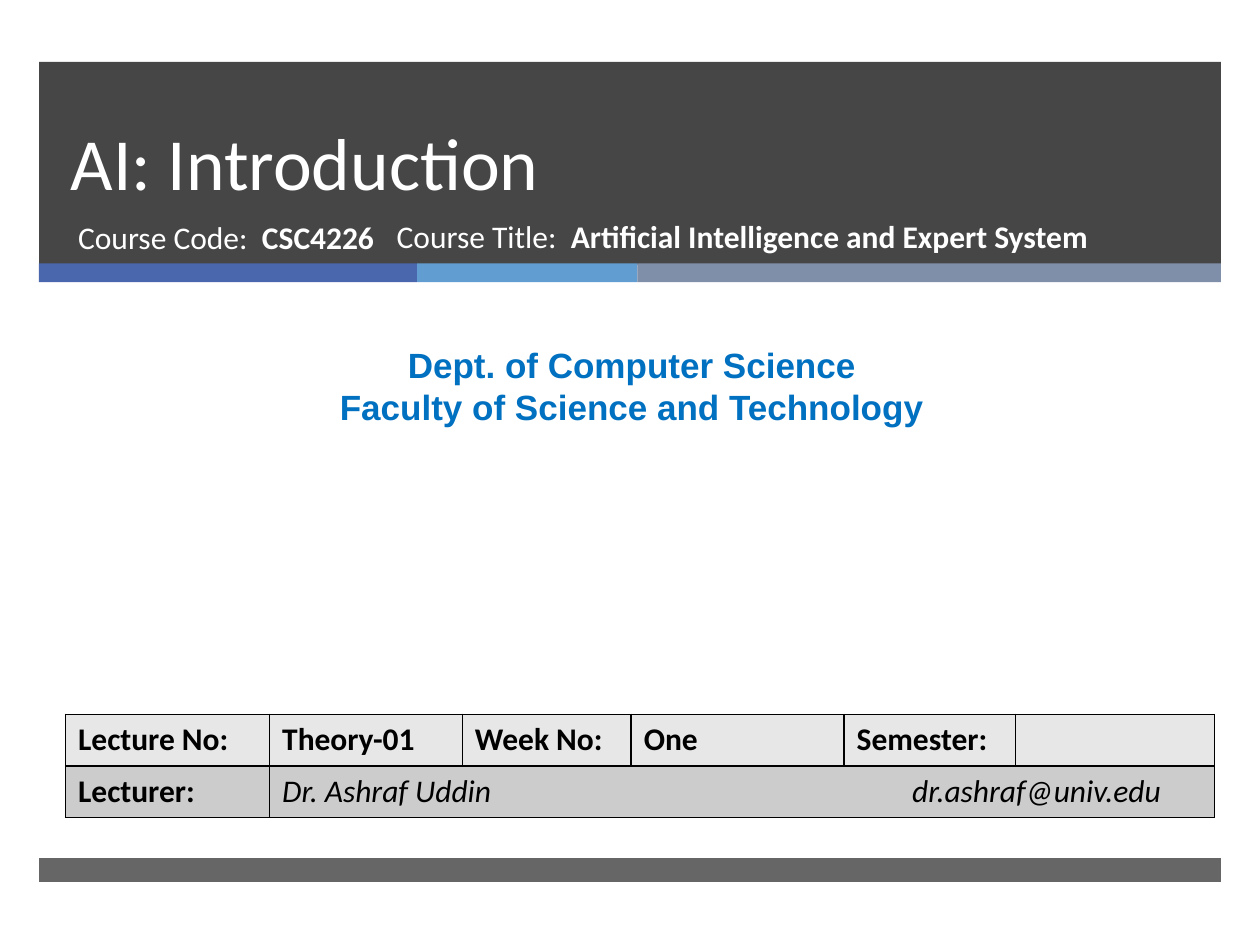
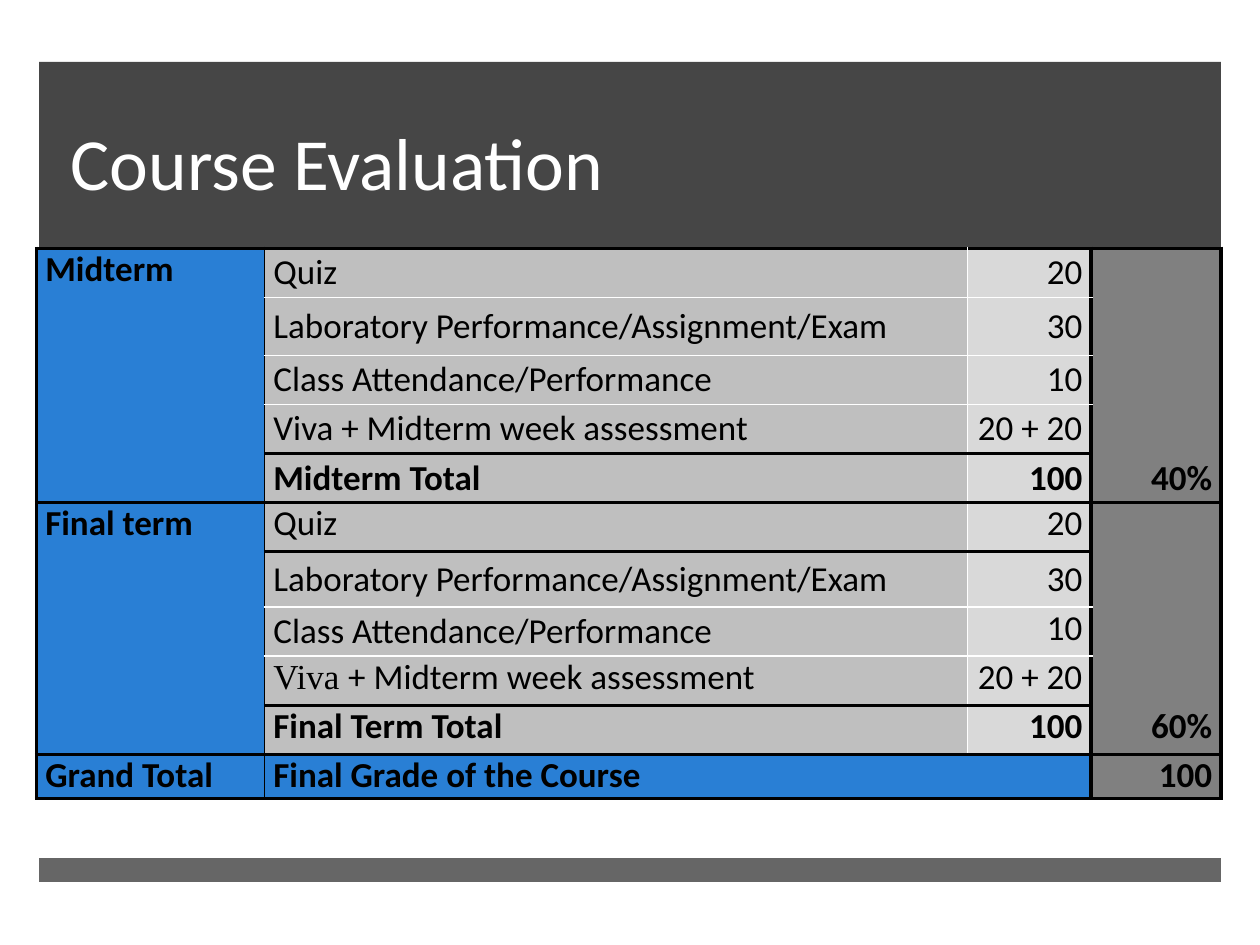
from lxml.etree import SubElement
from pptx import Presentation
from pptx.dml.color import RGBColor
from pptx.enum.shapes import MSO_SHAPE as Shape
from pptx.enum.text import MSO_ANCHOR as Anchor, MSO_AUTO_SIZE as AutoSize, PP_ALIGN as Align
from pptx.oxml import parse_xml
from pptx.oxml.ns import nsdecls, qn
from pptx.util import Inches, Pt

BLACK, WHITE, CHARCOAL = "000000", "FFFFFF", "262626"
HEADING_BLUE, TERM_BLUE = "0070C0", "297FD5"
LABEL_GREY, SCORE_GREY, WEIGHT_GREY = "BFBFBF", "D9D9D9", "808080"
INFO_GREYS = ("E7E7E7", "CCCCCC")

EDGE, BAND_WIDTH = 0.31, 9.38
STRIPES = (("4A66AC", 3), ("629DD1", 1.75), ("7F8FA9", 4.63))
NO_LINE, THIN, THICK = (BLACK, 0), (BLACK, 1), (BLACK, 2.25)
WHITE_LINE = (WHITE, 1)

COMPONENTS = (
    ("Quiz", "20"),
    ("Laboratory Performance/Assignment/Exam", "30"),
    ("Class Attendance/Performance", "10"),
    ("Viva + Midterm week assessment", "20 + 20"),
)
TERMS = (("Midterm", "Midterm Total", "40%"), ("Final term", "Final Term Total", "60%"))


def rgb(color):
    return RGBColor.from_string(color)


def inches(*lengths):
    return [Inches(length) for length in lengths]


def write(paragraph, text, size, color, font="Calibri", bold=False, italic=False):
    """Append one formatted run to the paragraph."""
    run = paragraph.add_run()
    run.text = text
    run.font.name, run.font.size = font, Pt(size)
    run.font.bold, run.font.italic = bold, italic
    run.font.color.rgb = rgb(color)


def place(placeholder, left, top, width, height, anchor):
    placeholder.left, placeholder.top, placeholder.width, placeholder.height = inches(
        left, top, width, height)
    frame = placeholder.text_frame
    frame.auto_size, frame.vertical_anchor = AutoSize.NONE, anchor
    paragraph = frame.paragraphs[0]
    paragraph.alignment, paragraph.space_before = Align.LEFT, Pt(0)
    return paragraph


def add_title(slide, text):
    paragraph = place(slide.shapes.title, 0.46, 0.49, 8.54, 1.19, Anchor.BOTTOM)
    paragraph.line_spacing = Pt(46)
    write(paragraph, text, 42, WHITE)


def add_text_box(slide, left, top, width, height):
    frame = slide.shapes.add_textbox(*inches(left, top, width, height)).text_frame
    frame.word_wrap = True
    return frame


def write_course_fact(paragraph, label, value):
    write(paragraph, label, 18, WHITE)
    write(paragraph, value, 18, WHITE, bold=True)


def add_band(slide, left, top, width, height, color, opacity=100):
    band = slide.shapes.add_shape(Shape.RECTANGLE, *inches(left, top, width, height))
    band.shadow.inherit = False
    band.line.fill.background()
    band.fill.solid()
    band.fill.fore_color.rgb = rgb(color)
    if opacity < 100:
        tint = band.element.spPr.find(qn("a:solidFill"))[0]
        SubElement(tint, qn("a:alpha")).set("val", str(opacity * 1000))
    return band


def add_master_bands(master, slide):
    """Draw the shared bands, then move them behind everything on the master."""
    bands = [add_band(slide, EDGE, 0.49, BAND_WIDTH, 1.61, CHARCOAL, 85)]
    left = EDGE
    for color, width in STRIPES:
        bands.append(add_band(slide, left, 2.09, width, 0.15, color))
        left += width
    bands.append(add_band(slide, EDGE, 6.81, BAND_WIDTH, 0.19, CHARCOAL, 70))
    for order, band in enumerate(bands):
        band.element.nvSpPr.cNvPr.set("id", str(100 + order))
        master.element.cSld.spTree.insert(2 + order, band.element)


def add_table(slide, left, top, columns, rows):
    table = slide.shapes.add_table(
        len(rows), len(columns), *inches(left, top, sum(columns), sum(rows))).table
    table.first_row = table.horz_banding = False
    for column, width in zip(table.columns, columns):
        column.width = Inches(width)
    for row, height in zip(table.rows, rows):
        row.height = Inches(height)
    return table


def style_cell(cell, fill, left, right, top, bottom):
    cell.fill.solid()
    cell.fill.fore_color.rgb = rgb(fill)
    properties = cell._tc.get_or_add_tcPr()
    sides = zip(("lnL", "lnR", "lnT", "lnB"), (left, right, top, bottom))
    for order, (tag, (color, width)) in enumerate(sides):
        paint = (f'<a:solidFill><a:srgbClr val="{color}"/></a:solidFill>'
                 if width else "<a:noFill/>")
        properties.insert(order, parse_xml(
            f'<a:{tag} {nsdecls("a")} w="{Pt(width)}">{paint}</a:{tag}>'))


def add_lecture_table(slide):
    table = add_table(slide, 0.52, 5.67, (1.62, 1.53, 1.34, 1.69, 1.36, 1.58), (0.41, 0.41))
    table.cell(1, 1).merge(table.cell(1, 5))
    for row, fill in zip(table.rows, INFO_GREYS):
        for cell in row.cells:
            style_cell(cell, fill, THIN, THIN, THIN, THIN)

    headings = ("Lecture No:", "Theory-01", "Week No:", "One", "Semester:")
    for column, heading in enumerate(headings):
        write(table.cell(0, column).text_frame.paragraphs[0], heading, 18, BLACK, bold=True)
    write(table.cell(1, 0).text_frame.paragraphs[0], "Lecturer:", 18, BLACK, bold=True)

    lecturer = table.cell(1, 1).text_frame.paragraphs[0]
    tab_stops = SubElement(lecturer._p.get_or_add_pPr(), qn("a:tabLst"))
    tab = SubElement(tab_stops, qn("a:tab"))
    tab.set("pos", str(Inches(5)))
    tab.set("algn", "l")
    write(lecturer, "Dr. Ashraf Uddin\tdr.ashraf@univ.edu", 18, BLACK, italic=True)


def evaluation_rows():
    rows = []
    for term, total, weight in TERMS:
        rows += [("", label, score, "") for label, score in COMPONENTS]
        rows[-len(COMPONENTS)] = (term, *COMPONENTS[0], "")
        rows.append(("", total, "100", weight))
    return rows + [("Grand Total", "Final Grade of the Course", "", "100")]


def add_evaluation_table(slide):
    rows = evaluation_rows()
    heights = [0.39] * len(rows)
    heights[1], heights[6], heights[10] = 0.46, 0.44, 0.35
    table = add_table(slide, 0.29, 1.97, (1.81, 5.58, 0.98, 1.03), heights)

    fills = (TERM_BLUE, LABEL_GREY, SCORE_GREY, WEIGHT_GREY)
    uprights = (THICK, THIN, WHITE_LINE, THICK, THICK)
    term_ends = {-1, 4, 9, 10}
    heavy_rules = term_ends | {3, 5, 8}
    middle_rows = {0, 1, 2, 3, 4, 6}

    def rule_below(row, column):
        if column in (0, 3):
            return THICK if row in term_ends else NO_LINE
        return THICK if row in heavy_rules else WHITE_LINE

    last = len(rows) - 1
    table.cell(last, 1).merge(table.cell(last, 2))
    for r, texts in enumerate(rows):
        is_total = r in term_ends
        for c, text in enumerate(texts):
            cell = table.cell(r, c)
            cell.margin_left = cell.margin_right = Inches(0.07)
            cell.margin_top = cell.margin_bottom = 0
            merged = r == last and c in (1, 2)
            style_cell(cell, TERM_BLUE if merged else fills[c],
                       uprights[c], THICK if merged else uprights[c + 1],
                       rule_below(r - 1, c), rule_below(r, c))
            middle = c > 0 and (r in middle_rows or (r, c) == (7, 1))
            cell.vertical_anchor = Anchor.MIDDLE if middle else Anchor.TOP
            paragraph = cell.text_frame.paragraphs[0]
            paragraph.alignment = Align.RIGHT if c > 1 else Align.LEFT
            if (r, c) == (8, 1):
                write(paragraph, "Viva ", 20, BLACK, font="Times New Roman")
                text = text.removeprefix("Viva ")
            if text:
                write(paragraph, text, 20, BLACK, bold=c == 0 or is_total)


def add_introduction(slide):
    add_title(slide, "AI: Introduction")
    code = place(slide.placeholders[1], 0.52, 1.68, 3.05, 0.53, Anchor.TOP)
    write_course_fact(code, "Course Code:  ", "CSC4226")

    department = add_text_box(slide, 0.08, 2.68, 9.87, 0.77)
    department.text = "Dept. of Computer Science\nFaculty of Science and Technology"
    for paragraph in department.paragraphs:
        paragraph.alignment = Align.CENTER
        font = paragraph.runs[0].font
        font.name, font.size, font.bold = "Arial", Pt(20), True
        font.color.rgb = rgb(HEADING_BLUE)

    add_lecture_table(slide)
    course = add_text_box(slide, 3.05, 1.67, 5.72, 0.53).paragraphs[0]
    write_course_fact(course, "Course Title:  ", "Artificial Intelligence and Expert System")


def add_evaluation(slide):
    add_title(slide, "Course Evaluation")
    add_evaluation_table(slide)


def main():
    deck = Presentation()
    deck.slide_width, deck.slide_height = inches(10, 7.5)
    title_layout, title_only_layout = deck.slide_layouts[0], deck.slide_layouts[5]
    introduction = deck.slides.add_slide(title_layout)
    add_master_bands(deck.slide_master, introduction)
    add_introduction(introduction)
    add_evaluation(deck.slides.add_slide(title_only_layout))
    deck.save("out.pptx")


if __name__ == "__main__":
    main()
